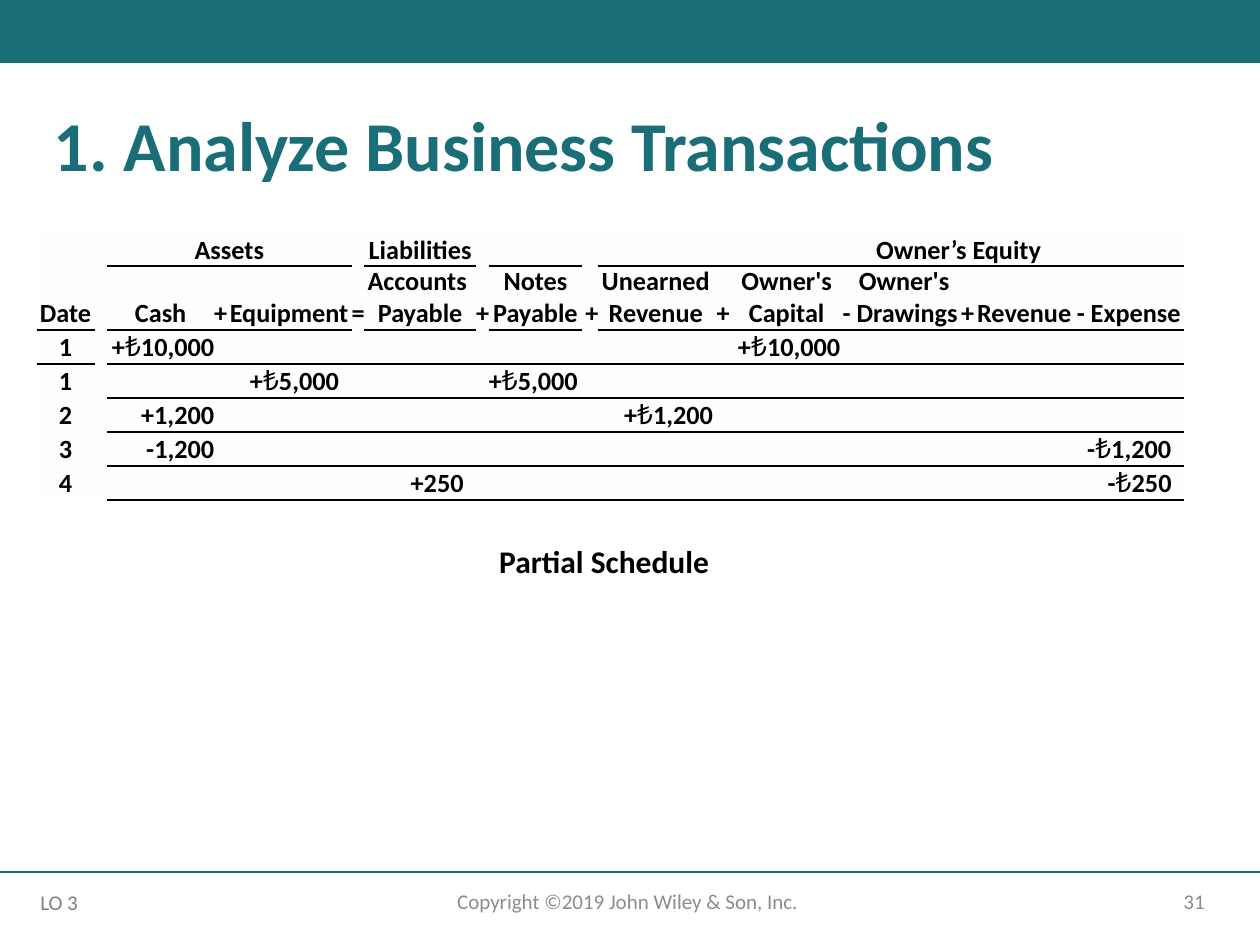
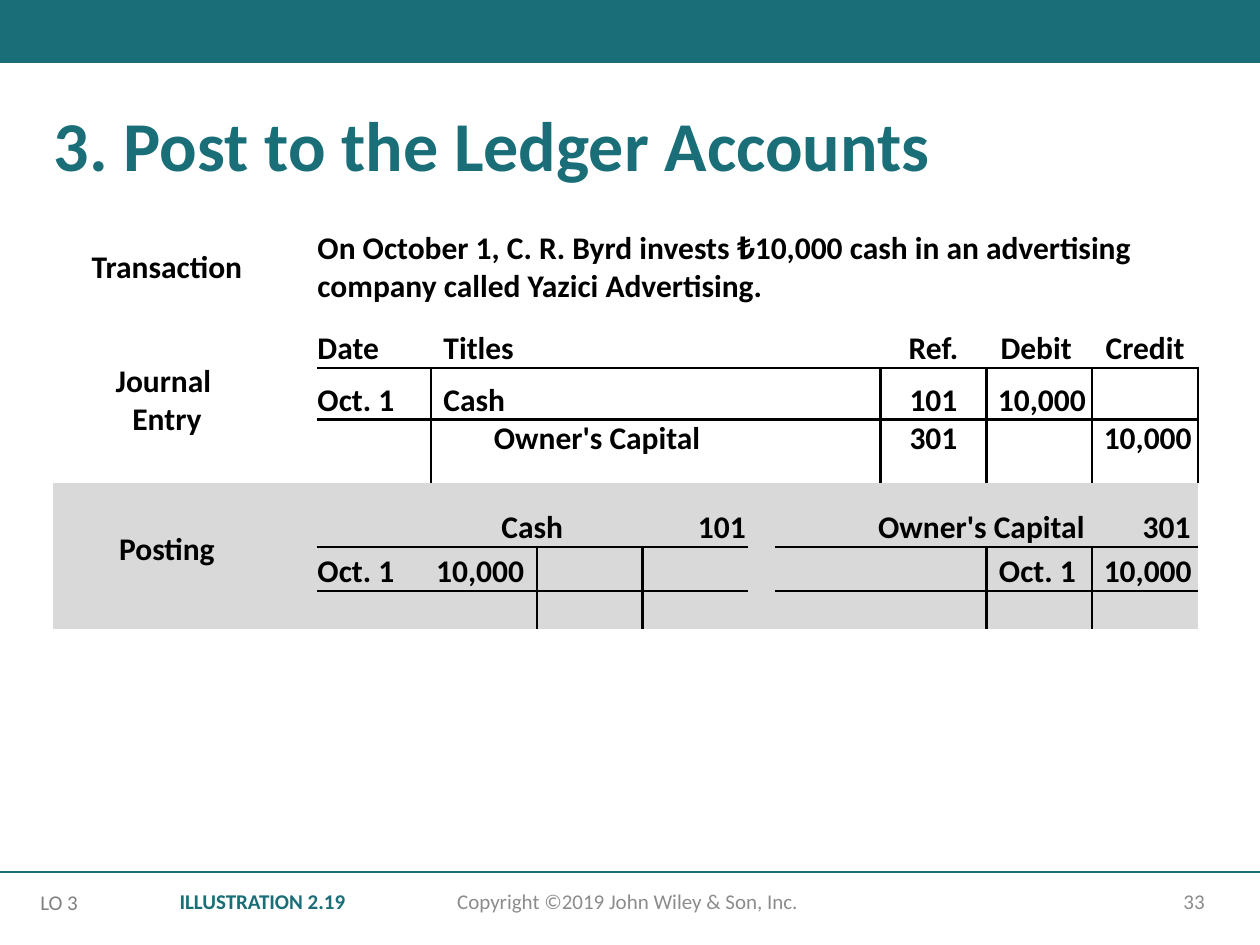
from dataclasses import dataclass
from typing import Any, Iterable, Optional

from lxml import etree
from pptx import Presentation
from pptx.dml.color import RGBColor
from pptx.enum.shapes import MSO_CONNECTOR, MSO_SHAPE
from pptx.enum.text import MSO_ANCHOR, PP_ALIGN
from pptx.oxml.ns import qn
from pptx.util import Inches, Pt

LEFT, CENTER, RIGHT = PP_ALIGN.LEFT, PP_ALIGN.CENTER, PP_ALIGN.RIGHT
TOP, MIDDLE, BOTTOM = MSO_ANCHOR.TOP, MSO_ANCHOR.MIDDLE, MSO_ANCHOR.BOTTOM
RECTANGLE, STRAIGHT = MSO_SHAPE.RECTANGLE, MSO_CONNECTOR.STRAIGHT
NO_GRID_STYLE = "{2D5ABB26-0587-4C30-8999-92F81FD0307C}"
LIRA = "₺"


@dataclass(frozen=True)
class Theme:
    font: str = "Calibri"
    teal: str = "196E78"
    ink: str = "000000"
    footer_gray: str = "8C8C8C"
    objective_gray: str = "808080"
    paper: str = "FFFEFE"
    posting_gray: str = "D9D9D9"
    title_size: int = 40
    body_size: int = 18
    schedule_size: int = 15
    lira_size: int = 16
    footer_size: int = 12
    empty_size: int = 10


THEME = Theme()


@dataclass(frozen=True)
class Label:
    text: str
    box: tuple[float, float, float, float]
    size: int = THEME.footer_size
    color: str = THEME.footer_gray
    bold: bool = False
    align: PP_ALIGN = LEFT
    anchor: MSO_ANCHOR = TOP
    side_inset: float = 0.1
    indent: float = 0
    line_spacing: float = 1.0


@dataclass(frozen=True)
class Entry:
    """Text of a table cell; margins run left, top, right, bottom."""
    row: int
    col: int
    text: str
    align: PP_ALIGN = LEFT
    margins: tuple[float, float, float, float] = (0, 0, 0, 0)
    span: tuple[int, int] = (1, 1)
    anchor: MSO_ANCHOR = BOTTOM
    indent: float = 0
    tabs: tuple[float, ...] = ()


@dataclass(frozen=True)
class Rule:
    """A ruled line on the bottom (B) or right (R) edge of a block of cells."""
    side: str
    rows: Iterable[int]
    cols: Iterable[int]


@dataclass(frozen=True)
class Grid:
    origin: tuple[float, float]
    cols: tuple[float, ...]
    rows: tuple[float, ...]
    entries: list[Entry]
    rules: list[Rule]
    row_fills: tuple[Optional[str], ...]
    size: int
    rule_width: float
    lira_size: Optional[int] = None


def apply(target: Any, **values: Any) -> None:
    for name, value in values.items():
        setattr(target, name, value)


def add_run(paragraph, text: str, size: int, color: str, bold: bool) -> None:
    run = paragraph.add_run()
    run.text = text
    apply(run.font, name=THEME.font, size=Pt(size), bold=bold)
    run.font.color.rgb = RGBColor.from_string(color)


def indent_paragraph(paragraph, indent: float) -> None:
    properties = paragraph._p.get_or_add_pPr()
    properties.set("marL", str(Inches(indent)))
    properties.set("indent", "0")


def draw_label(slide, label: Label) -> None:
    frame = slide.shapes.add_textbox(*map(Inches, label.box)).text_frame
    inset = Inches(label.side_inset)
    apply(frame, word_wrap=True, vertical_anchor=label.anchor,
          margin_left=inset, margin_right=inset)
    paragraph = frame.paragraphs[0]
    apply(paragraph, alignment=label.align, line_spacing=label.line_spacing)
    indent_paragraph(paragraph, label.indent)
    add_run(paragraph, label.text, label.size, label.color, label.bold)


def add_tab_stops(paragraph, stops: tuple[float, ...]) -> None:
    tab_list = etree.SubElement(paragraph._p.get_or_add_pPr(), qn("a:tabLst"))
    for stop in stops:
        etree.SubElement(tab_list, qn("a:tab"), pos=str(Inches(stop)), algn="r")


def write_entry(table, entry: Entry, grid: Grid) -> None:
    cell = table.cell(entry.row, entry.col)
    height, width = entry.span
    if entry.span != (1, 1):
        cell.merge(table.cell(entry.row + height - 1, entry.col + width - 1))
    left, top, right, bottom = map(Inches, entry.margins)
    apply(cell, vertical_anchor=entry.anchor, margin_left=left, margin_top=top,
          margin_right=right, margin_bottom=bottom)
    frame = cell.text_frame
    for number, line in enumerate(entry.text.split("\n")):
        paragraph = frame.add_paragraph() if number else frame.paragraphs[0]
        paragraph.alignment = entry.align
        if entry.indent:
            indent_paragraph(paragraph, entry.indent)
        if entry.tabs:
            add_tab_stops(paragraph, entry.tabs)
        for part_number, part in enumerate(line.split("\v")):
            if part_number:
                paragraph.add_line_break()
            sign, lira, amount = part.partition(LIRA) if grid.lira_size else (part, "", "")
            add_run(paragraph, sign, grid.size, THEME.ink, True)
            if lira:
                add_run(paragraph, lira, grid.lira_size, THEME.ink, False)
                add_run(paragraph, amount, grid.size, THEME.ink, True)


def ruled_edges(rules: list[Rule]) -> dict[tuple[int, int], set[str]]:
    """Gives each rule to the cells on both of its sides."""
    edges: dict[tuple[int, int], set[str]] = {}
    for rule in rules:
        for row in rule.rows:
            for col in rule.cols:
                facing = (row + 1, col, "T") if rule.side == "B" else (row, col + 1, "L")
                for r, c, side in ((row, col, rule.side), facing):
                    edges.setdefault((r, c), set()).add(side)
    return edges


def rule_cell(cell, sides: set[str], width: float) -> None:
    properties = cell._tc.get_or_add_tcPr()
    for side in sorted(sides, key="LRTB".index):
        line = etree.SubElement(properties, qn(f"a:ln{side}"), w=str(Pt(width)))
        fill = etree.SubElement(line, qn("a:solidFill"))
        etree.SubElement(fill, qn("a:srgbClr"), val=THEME.ink)


def draw_grid(slide, grid: Grid) -> None:
    frame = slide.shapes.add_table(
        len(grid.rows), len(grid.cols), *map(Inches, grid.origin),
        Inches(sum(grid.cols)), Inches(sum(grid.rows)))
    table = frame.table
    apply(table, first_row=False, horz_banding=False)
    table._tbl.tblPr.find(qn("a:tableStyleId")).text = NO_GRID_STYLE
    for column, width in zip(table.columns, grid.cols):
        column.width = Inches(width)
    for row, height in zip(table.rows, grid.rows):
        row.height = Inches(height)

    edges = ruled_edges(grid.rules)
    written = {(entry.row, entry.col) for entry in grid.entries}
    for r, fill in enumerate(grid.row_fills):
        for c in range(len(grid.cols)):
            cell = table.cell(r, c)
            apply(cell, margin_left=0, margin_top=0, margin_right=0, margin_bottom=0)
            rule_cell(cell, {side for side in edges.get((r, c), ())}, grid.rule_width)
            if fill:
                cell.fill.solid()
                cell.fill.fore_color.rgb = RGBColor.from_string(fill)
            else:
                cell.fill.background()
            if (r, c) not in written:
                etree.SubElement(cell.text_frame.paragraphs[0]._p, qn("a:endParaRPr"),
                                 sz=str(THEME.empty_size * 100))
    for entry in grid.entries:
        write_entry(table, entry, grid)


def add_lesson_slide(deck, title: str, number: int):
    """Adds a slide with the band, title and footer that all slides share."""
    slide = deck.slides.add_slide(deck.slide_layouts[6])
    teal = RGBColor.from_string(THEME.teal)
    band = slide.shapes.add_shape(RECTANGLE, 0, 0, deck.slide_width, Inches(0.5))
    band.shadow.inherit = False
    band.fill.solid()
    band.fill.fore_color.rgb = teal
    band.line.fill.background()
    footer_y = Inches(6.92)
    footer_rule = slide.shapes.add_connector(STRAIGHT, 0, footer_y, deck.slide_width, footer_y)
    footer_rule.line.color.rgb = teal
    footer_rule.line.width = Pt(1)
    etree.SubElement(footer_rule._element.spPr, qn("a:effectLst"))
    for label in (
        Label(str(number), (7.06, 6.95, 2.6, 0.4), align=RIGHT, anchor=MIDDLE),
        Label("Copyright ©2019 John Wiley & Son, Inc. ", (3.31, 6.95, 3.38, 0.4),
              align=CENTER, anchor=MIDDLE),
        Label("LO 3", (0.25, 7.01, 0.53, 0.3), color=THEME.objective_gray,
              side_inset=0, indent=0.07),
        Label(title, (0.33, 0.83, 9.67, 0.71), THEME.title_size, THEME.teal, True,
              line_spacing=0.9),
    ):
        draw_label(slide, label)
    return slide


def schedule_grid() -> Grid:
    headings = ("Date", "", "Cash", "+", "Equipment", "=", "Accounts \nPayable", "+",
                "Notes\nPayable", "+", "Unearned\nRevenue", "+", "Owner's\nCapital", "-",
                "Owner's \nDrawings", "+", "Revenue", "-", "Expense")
    cash, equipment, payable, notes, unearned, capital, expense = 2, 4, 6, 8, 10, 12, 18
    padded = (0, 0, 0.1, 0)
    entries = [
        Entry(0, cash, "Assets", CENTER, span=(1, 3)),
        Entry(0, payable, "Liabilities", CENTER),
        Entry(0, capital, "Owner’s Equity", CENTER, span=(1, 7)),
        *(Entry(1, col, heading, RIGHT if col == 9 else CENTER)
          for col, heading in enumerate(headings) if heading),
        *(Entry(row, 0, date, CENTER) for row, date in enumerate("11234", 2)),
        Entry(2, cash, "+₺10,000", RIGHT),
        Entry(2, capital, "+₺10,000", RIGHT),
        Entry(3, equipment, "+₺5,000", RIGHT, padded),
        Entry(3, notes, "+₺5,000"),
        Entry(4, cash, "+1,200", RIGHT),
        Entry(4, unearned, "+₺1,200", RIGHT),
        Entry(5, cash, "-1,200", RIGHT),
        Entry(5, expense, "-₺1,200"),
        Entry(6, payable, "+250", RIGHT, padded),
        Entry(6, expense, "-₺250", RIGHT, padded),
    ]
    rules = [
        Rule("B", [0], [2, 3, 4, 6, 8, *range(10, 19)]),
        Rule("B", [1], [*range(0, 19, 2), 11]),
        Rule("B", range(2, 7), range(2, 19)),
    ]
    return Grid(
        origin=(0.29, 1.86),
        cols=(0.46, 0.1, 0.85, 0.1, 0.99, 0.1, 0.89, 0.1, 0.74, 0.13, 0.91, 0.16,
              0.85, 0.1, 0.86, 0.1, 0.8, 0.1, 0.77),
        rows=(0.25, 0.51) + (0.27,) * 5, entries=entries, rules=rules,
        row_fills=(THEME.paper,) * 7, size=THEME.schedule_size, rule_width=1,
        lira_size=THEME.lira_size)


def ledger_grid() -> Grid:
    account_top, amount = (0, 0.2, 0, 0), (0, 0, 0.05, 0)
    entries = [
        Entry(0, 0, "Transaction", CENTER, (0, 0, 0, 0.1), anchor=MIDDLE),
        Entry(0, 2, "On October 1, C. R. Byrd invests ₺10,000 cash in an advertising\v"
              "company called Yazici Advertising.", LEFT, (0, 0, 0, 0.1), (1, 9), MIDDLE),
        Entry(1, 0, "Journal \nEntry", CENTER, (0, 0.1, 0, 0.1), (3, 1), MIDDLE),
        Entry(1, 2, "Date"),
        Entry(1, 3, "Titles", LEFT, (0.1, 0, 0, 0), (1, 5)),
        Entry(1, 8, "Ref.", CENTER),
        Entry(1, 9, "Debit", CENTER, amount),
        Entry(1, 10, "Credit", CENTER),
        Entry(2, 2, "Oct. 1", LEFT, (0, 0.1, 0, 0)),
        Entry(2, 3, "Cash", LEFT, (0.1, 0.1, 0, 0), (1, 5)),
        Entry(2, 8, "101", CENTER, (0, 0.1, 0, 0)),
        Entry(2, 9, "10,000", RIGHT, (0, 0.1, 0.05, 0)),
        Entry(3, 3, "Owner's Capital", LEFT, (0, 0, 0, 0.2), (1, 5), indent=0.5),
        Entry(3, 8, "301", CENTER, (0, 0, 0, 0.2)),
        Entry(3, 10, "10,000", RIGHT, (0, 0, 0.05, 0.2)),
        Entry(4, 0, "Posting", CENTER, account_top, (2, 1), MIDDLE),
        Entry(4, 2, "\tCash\t101", LEFT, account_top, (1, 4), tabs=(1.95, 3.4)),
        Entry(4, 7, "\tOwner's Capital\t301", LEFT, account_top, (1, 4), tabs=(2.46, 3.3)),
        Entry(5, 2, "Oct. 1"),
        Entry(5, 3, "10,000", RIGHT, (0, 0, 0.1, 0)),
        Entry(5, 9, "Oct. 1", LEFT, (0.1, 0, 0, 0)),
        Entry(5, 10, "10,000", RIGHT, amount),
    ]
    rules = [
        Rule("B", [1], range(2, 11)),
        Rule("R", [2, 3], [2, 7, 8, 9]),
        Rule("B", [4], [2, 3, 4, 5, 7, 8, 9, 10]),
        Rule("R", [5, 6], [3, 8]),
    ]
    return Grid(
        origin=(0.42, 1.82),
        cols=(1.81, 0.29, 0.9, 0.84, 0.84, 0.84, 0.21, 0.84, 0.84, 0.84, 0.84),
        rows=(0.71, 0.39, 0.41, 0.5, 0.51, 0.35, 0.3), entries=entries, rules=rules,
        row_fills=(None,) * 4 + (THEME.posting_gray,) * 3, size=THEME.body_size,
        rule_width=1.5)


def main() -> None:
    deck = Presentation()
    apply(deck, slide_width=Inches(10), slide_height=Inches(7.5))

    analysis = add_lesson_slide(deck, "1. Analyze Business Transactions", 31)
    draw_grid(analysis, schedule_grid())
    draw_label(analysis, Label("Partial Schedule", (3.17, 4.25, 3.25, 0.4), THEME.body_size,
                               THEME.ink, True, CENTER))

    posting = add_lesson_slide(deck, "3. Post to the Ledger Accounts", 33)
    draw_label(posting, Label("ILLUSTRATION 2.19", (1.17, 7, 1.67, 0.3), color=THEME.teal,
                              bold=True, align=RIGHT))
    draw_grid(posting, ledger_grid())
    deck.save("out.pptx")


if __name__ == "__main__":
    main()
